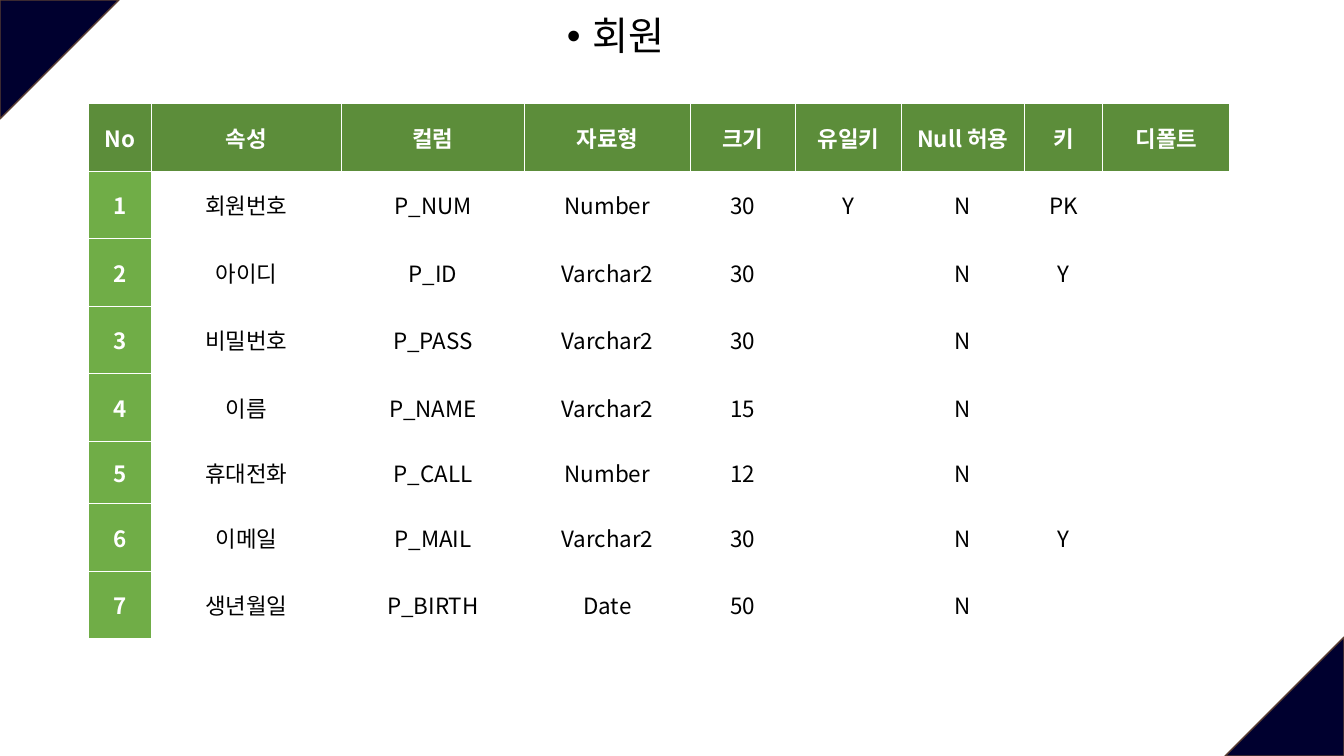
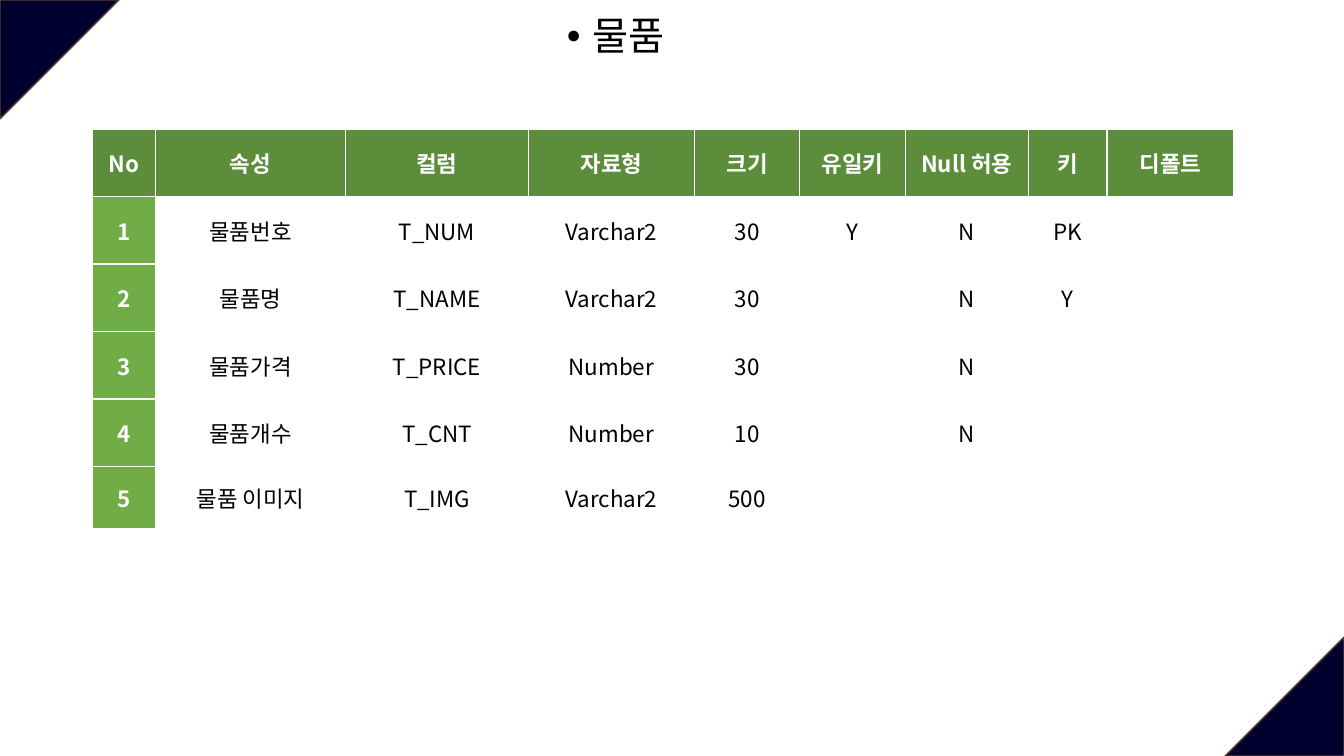
from pptx import Presentation
from pptx.dml.color import RGBColor
from pptx.enum.shapes import MSO_SHAPE as Shape
from pptx.enum.text import MSO_ANCHOR as Anchor, MSO_AUTO_SIZE as AutoSize, PP_ALIGN as Align
from pptx.oxml.ns import qn
from pptx.util import Inches, Pt
from lxml.etree import SubElement

W, H = 13.33, 7.5
FONT = "Noto Sans CJK KR"
NAVY, BROWN, HEADER, GREEN = "00002F", "5B3F33", "5C8D3A", "70AD47"
WHITE, BLACK = "FFFFFF", "000000"
CORNER = 1.18
COLS = [0.62, 1.89, 1.81, 1.65, 1.04, 1.05, 1.22, 0.78, 1.26]
ROW, SHORT_ROW, SHORT_INDEX = 0.67, 0.62, 5
MARGIN = 0.06
HEADINGS = ["No", "속성", "컬럼", "자료형", "크기", "유일키", "Null 허용", "키", "디폴트"]

MEMBERS = [
    ("회원번호", "P_NUM", "Number", "30", "Y", "N", "PK"),
    ("아이디", "P_ID", "Varchar2", "30", "", "N", "Y"),
    ("비밀번호", "P_PASS", "Varchar2", "30", "", "N"),
    ("이름", "P_NAME", "Varchar2", "15", "", "N"),
    ("휴대전화", "P_CALL", "Number", "12", "", "N"),
    ("이메일", "P_MAIL", "Varchar2", "30", "", "N", "Y"),
    ("생년월일", "P_BIRTH", "Date", "50", "", "N"),
]
GOODS = [
    ("물품번호", "T_NUM", "Varchar2", "30", "Y", "N", "PK"),
    ("물품명", "T_NAME", "Varchar2", "30", "", "N", "Y"),
    ("물품가격", "T_PRICE", "Number", "30", "", "N"),
    ("물품개수", "T_CNT", "Number", "10", "", "N"),
    ("물품 이미지", "T_IMG", "Varchar2", "500"),
]


def rgb(color):
    """Turn a hex string into a colour."""
    return RGBColor.from_string(color)


def format_text(p, size, color, bold=False):
    """Centre a paragraph and set the font of its runs."""
    p.alignment = Align.CENTER
    for r in p.runs:
        r.font.name, r.font.size, r.font.bold = FONT, Pt(size), bold
        r.font.color.rgb = rgb(color)
        SubElement(r.font._element, qn("a:ea")).set("typeface", FONT)


def add_corners(slide):
    """Put the two corner triangles on the layout of the slide."""
    layout = slide.slide_layout
    corners = [(0, 0, 90), (W - CORNER, H - CORNER, 270)]
    for number, (x, y, angle) in enumerate(corners, 1):
        sp = slide.shapes.add_shape(Shape.RIGHT_TRIANGLE, Inches(x), Inches(y),
                                    Inches(CORNER), Inches(CORNER))
        sp.rotation = angle
        sp.shadow.inherit = False
        sp.fill.solid()
        sp.fill.fore_color.rgb = rgb(NAVY)
        sp.line.color.rgb = rgb(BROWN)
        sp.line.width = Pt(1)
        sp.element.xpath(".//p:cNvPr")[0].set("id", str(100 + number))
        layout.placeholders[0].element.addprevious(sp.element)


def add_title(slide, text, x, y, w, h):
    """Fill the title placeholder with one bulleted, centred line."""
    sp = slide.shapes.title
    sp.left, sp.top, sp.width, sp.height = map(Inches, (x, y, w, h))
    tf = sp.text_frame
    tf.text = text
    tf.word_wrap, tf.auto_size = True, AutoSize.NONE
    tf.vertical_anchor = Anchor.BOTTOM
    tf.margin_left = tf.margin_right = tf.margin_top = tf.margin_bottom = Inches(0.05)
    p = tf.paragraphs[0]
    p.line_spacing = 0.9
    props = p._p.get_or_add_pPr()
    props.set("marL", str(Inches(0.25)))
    props.set("indent", str(-Inches(0.25)))
    SubElement(props, qn("a:buFont")).set("typeface", "Arial")
    SubElement(props, qn("a:buChar")).set("char", "•")
    format_text(p, 28, BLACK)


def fill_cell(cell, text, fill, color, bold):
    """Set the text, margins and fill of one cell."""
    cell.vertical_anchor = Anchor.MIDDLE
    cell.margin_left = cell.margin_right = cell.margin_top = cell.margin_bottom = Inches(MARGIN)
    if fill:
        cell.fill.solid()
        cell.fill.fore_color.rgb = rgb(fill)
    else:
        cell.fill.background()
    cell.text_frame.text = text
    format_text(cell.text_frame.paragraphs[0], 16, color, bold)


def add_schema(slide, records, x, y):
    """Draw the column definitions as a table with numbered rows."""
    rows = [HEADINGS] + [(str(n), *record) for n, record in enumerate(records, 1)]
    heights = [SHORT_ROW if i == SHORT_INDEX else ROW for i in range(len(rows))]
    table = slide.shapes.add_table(len(rows), len(COLS), Inches(x), Inches(y),
                                   Inches(sum(COLS)), Inches(sum(heights))).table
    table.horz_banding, table.first_col = False, True
    for column, width in zip(table.columns, COLS):
        column.width = Inches(width)
    for i, (row, values) in enumerate(zip(table.rows, rows)):
        row.height = Inches(heights[i])
        for j, cell in enumerate(row.cells):
            text = values[j] if j < len(values) else ""
            fill = HEADER if i == 0 else GREEN if j == 0 else None
            fill_cell(cell, text, fill, WHITE if fill else BLACK, bool(fill))


def add_schema_slide(prs, title, records, x, y):
    """Add a slide with a title and a schema table at x, y."""
    slide = prs.slides.add_slide(prs.slide_layouts[5])
    add_title(slide, title, 1.86, 0.04, 8.49, 0.6)
    add_schema(slide, records, x, y)
    return slide


def main():
    """Build and save the presentation."""
    prs = Presentation()
    prs.slide_width, prs.slide_height = Inches(W), Inches(H)
    first = add_schema_slide(prs, "회원", MEMBERS, 0.88, 1.03)
    add_corners(first)
    add_schema_slide(prs, "물품", GOODS, 0.92, 1.28)
    prs.save("out.pptx")


if __name__ == "__main__":
    main()
